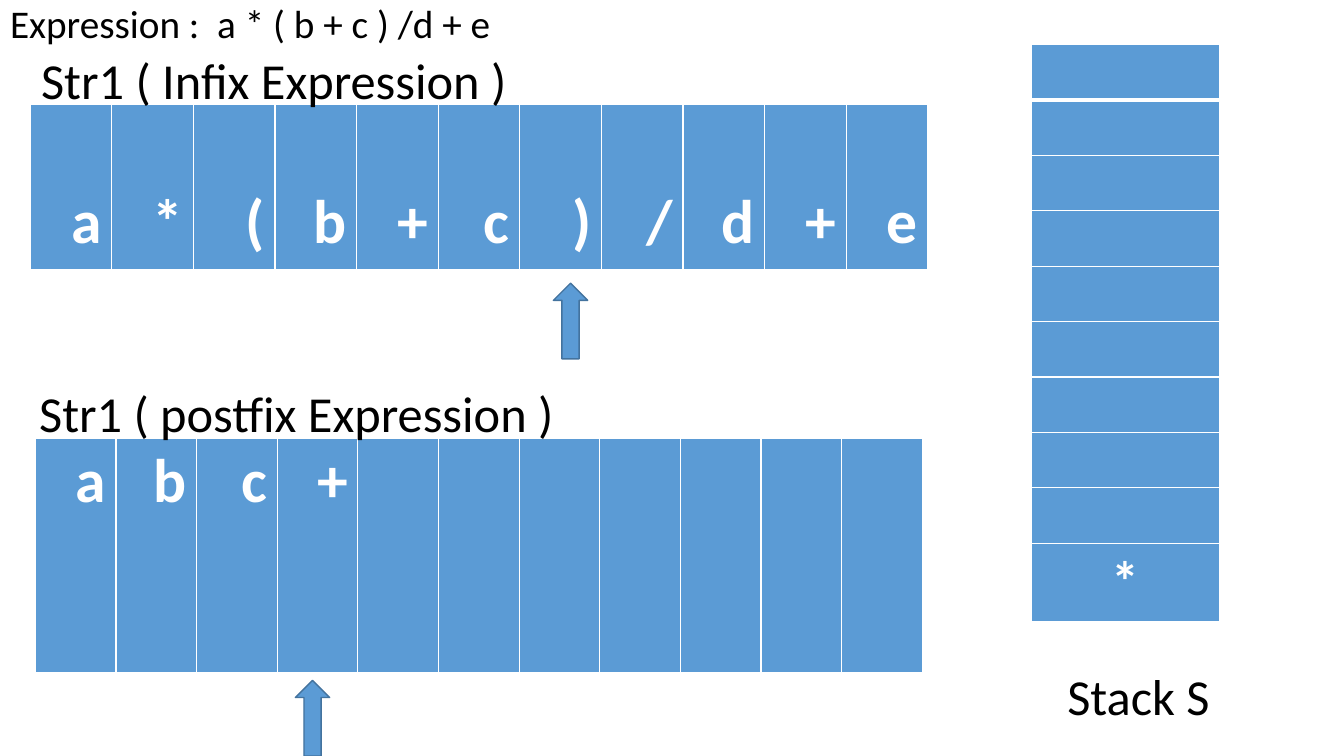
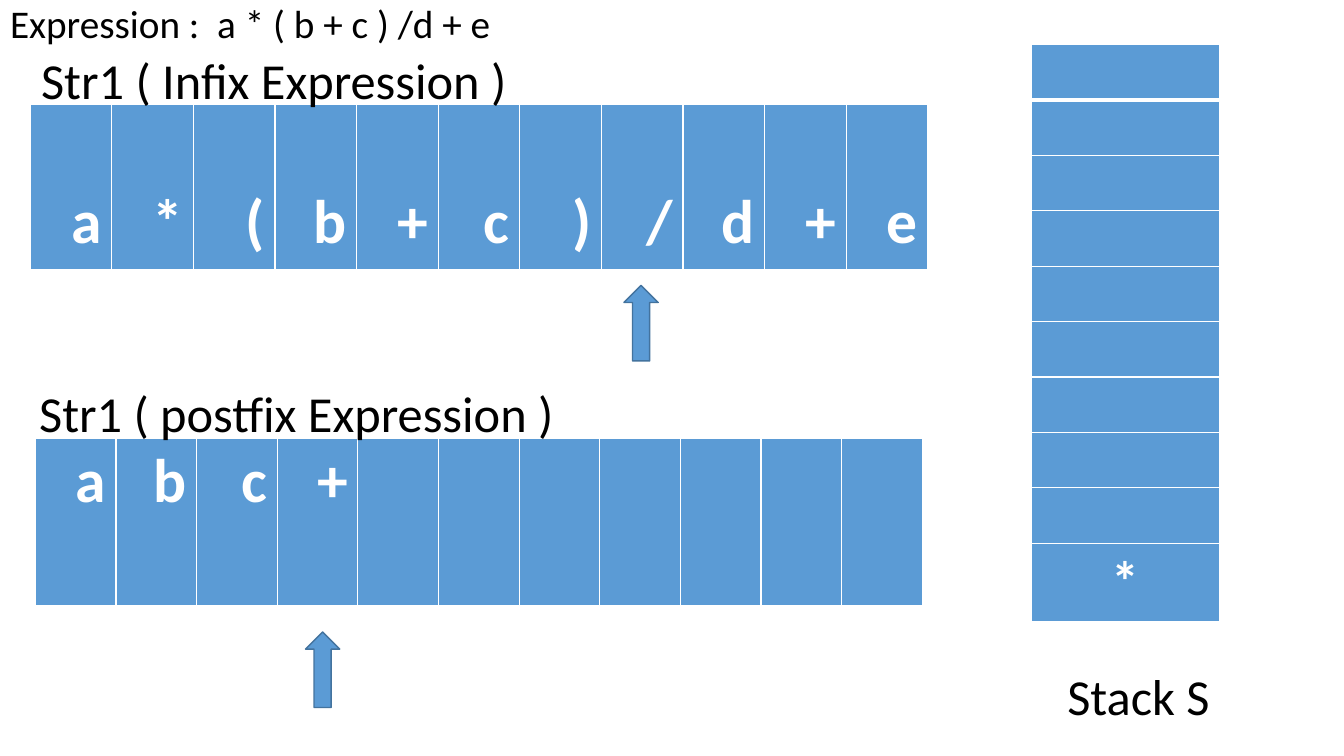
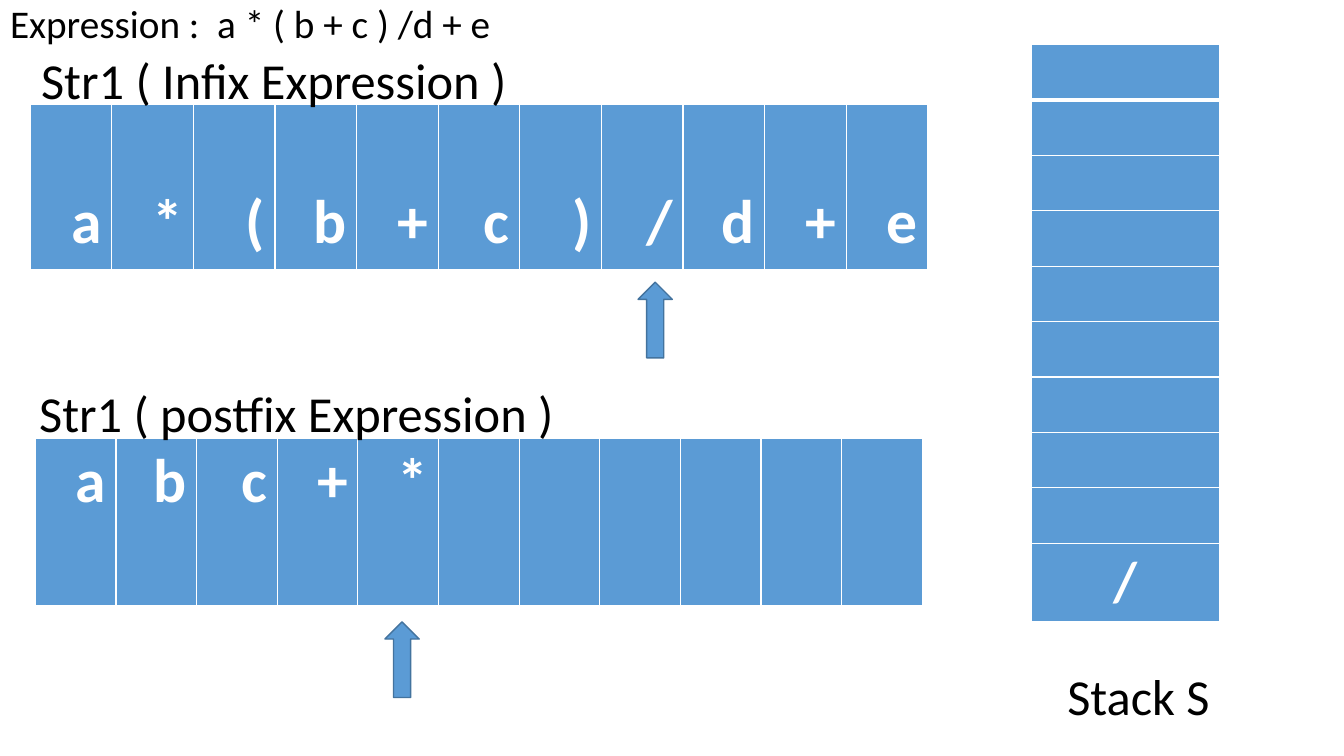
import pptx
import pptx.dml.color
import pptx.enum.shapes
import pptx.enum.text
import pptx.oxml
import pptx.oxml.ns
import pptx.util

Pt = pptx.util.Pt
RGBColor = pptx.dml.color.RGBColor
ALIGN = pptx.enum.text.PP_ALIGN
ANCHOR = pptx.enum.text.MSO_ANCHOR
AUTO_SIZE = pptx.enum.text.MSO_AUTO_SIZE

BLUE = RGBColor(0x5B, 0x9B, 0xD5)
DARK_BLUE = RGBColor(0x43, 0x73, 0x9E)
BLACK = RGBColor(0, 0, 0)
WHITE = RGBColor(255, 255, 255)

EXPRESSION = "Expression :  a * ( b + c ) /d + e"
INFIX = "a*(b+c)/d+e"
STACK_ROWS = 10

# What changes at each step; arrows are given by their left and top
STEPS = [
    {"postfix": "abc+", "postfix_height": 168.2, "stack": "*",
     "arrows": [(395.3, 202.3), (211, 486)]},
    {"postfix": "abc+", "postfix_height": 120.2, "stack": "*",
     "arrows": [(445.7, 203.8), (218.2, 451.4)]},
    {"postfix": "abc+*", "postfix_height": 120.2, "stack": "/",
     "arrows": [(455.8, 201.6), (275, 444.2)]},
]


def set_values(target, values):
    for name, value in values.items():
        setattr(target, name, value)


class StackDeck:
    """Holds the shared style and the slide being built."""

    title_font = {"name": "Calibri", "size": Pt(28), "bold": False}
    label_font = {"name": "Calibri", "size": Pt(36), "bold": False}
    symbol_font = {"name": "Calibri", "size": Pt(44), "bold": True}
    stack_font = {**symbol_font, "size": Pt(40)}

    def __init__(self):
        self.deck = pptx.Presentation()
        set_values(self.deck, {"slide_width": Pt(960), "slide_height": Pt(540)})
        self.page = None

    def new_page(self):
        self.page = self.deck.slides.add_slide(self.deck.slide_layouts[5])

    def put_text(self, frame, text, font, color, align=ALIGN.LEFT):
        para = frame.paragraphs[0]
        para.alignment = align
        span = para.add_run()
        span.text = text
        set_values(span.font, font)
        span.font.color.rgb = color
        return para

    def title(self, text):
        box = self.page.shapes.title
        set_values(box, {"left": Pt(0), "top": Pt(0),
                         "width": Pt(960), "height": Pt(40)})
        set_values(box.text_frame, {"vertical_anchor": ANCHOR.TOP,
                                    "auto_size": AUTO_SIZE.NONE})
        para = self.put_text(box.text_frame, text, self.title_font, BLACK)
        para.line_spacing = 0.9

    def label(self, text, left, top, width):
        box = self.page.shapes.add_textbox(Pt(left), Pt(top), Pt(width), Pt(51))
        set_values(box.text_frame, {"word_wrap": True,
                                    "auto_size": AUTO_SIZE.SHAPE_TO_FIT_TEXT})
        self.put_text(box.text_frame, text, self.label_font, BLACK)

    def border(self, cell, widths):
        properties = cell._tc.get_or_add_tcPr()
        for side, width in widths.items():
            properties.append(pptx.oxml.parse_xml(
                f'<a:ln{side} {pptx.oxml.ns.nsdecls("a")} w="{Pt(width)}">'
                f'<a:solidFill><a:srgbClr val="{WHITE}"/></a:solidFill>'
                f'</a:ln{side}>'))

    def table(self, left, top, column_width, columns, row_heights):
        frame = self.page.shapes.add_table(
            len(row_heights), columns, Pt(left), Pt(top),
            Pt(column_width * columns), Pt(sum(row_heights)))
        grid = frame.table
        for column in grid.columns:
            column.width = Pt(column_width)
        for index, height in enumerate(row_heights):
            grid.rows[index].height = Pt(height)
            # The first row has a thick line beneath it
            widths = {"L": 1, "R": 1, "T": 3 if index == 1 else 1,
                      "B": 3 if index == 0 else 1}
            for cell in grid.rows[index].cells:
                self.border(cell, widths)
                cell.fill.solid()
                cell.fill.fore_color.rgb = BLUE
        return grid

    def symbol_row(self, symbols, left, top, column_width, height, cell_format):
        grid = self.table(left, top, column_width, len(INFIX), [height])
        for cell, symbol in zip(grid.rows[0].cells, symbols):
            set_values(cell, cell_format)
            self.put_text(cell.text_frame, symbol, self.symbol_font, WHITE, ALIGN.RIGHT)

    def stack(self, symbol):
        heights = [39.6] * (STACK_ROWS - 1) + [56]
        grid = self.table(736.6, 31.7, 134.6, 1, heights)
        bottom = grid.cell(STACK_ROWS - 1, 0)
        self.put_text(bottom.text_frame, symbol, self.stack_font, WHITE, ALIGN.CENTER)

    def up_arrow(self, left, top):
        arrow = self.page.shapes.add_shape(
            pptx.enum.shapes.MSO_SHAPE.UP_ARROW, Pt(left), Pt(top), Pt(24.5), Pt(54))
        arrow.shadow.inherit = False
        arrow.fill.solid()
        arrow.fill.fore_color.rgb = BLUE
        arrow.line.color.rgb = DARK_BLUE
        arrow.line.width = Pt(1)


def main():
    slides = StackDeck()
    for step in STEPS:
        slides.new_page()
        slides.title(EXPRESSION)

        # Input and output strings
        slides.symbol_row(INFIX, 21.6, 74.9, 58.3, 118.8,
                          {"vertical_anchor": ANCHOR.BOTTOM, "margin_bottom": Pt(7.8)})
        slides.symbol_row(step["postfix"], 25.2, 313.2, 57.6, step["postfix_height"],
                          {"vertical_anchor": ANCHOR.TOP})

        # Current reading and writing positions
        for left, top in step["arrows"]:
            slides.up_arrow(left, top)

        # Operator stack and labels
        slides.stack(step["stack"])
        slides.label("Stack S", 755.3, 471.6, 144.7)
        slides.label("Str1 ( Infix Expression )", 22.3, 31.7, 640)
        slides.label("Str1 ( postfix Expression )", 20.9, 269.3, 620)

    slides.deck.save("out.pptx")


if __name__ == "__main__":
    main()
